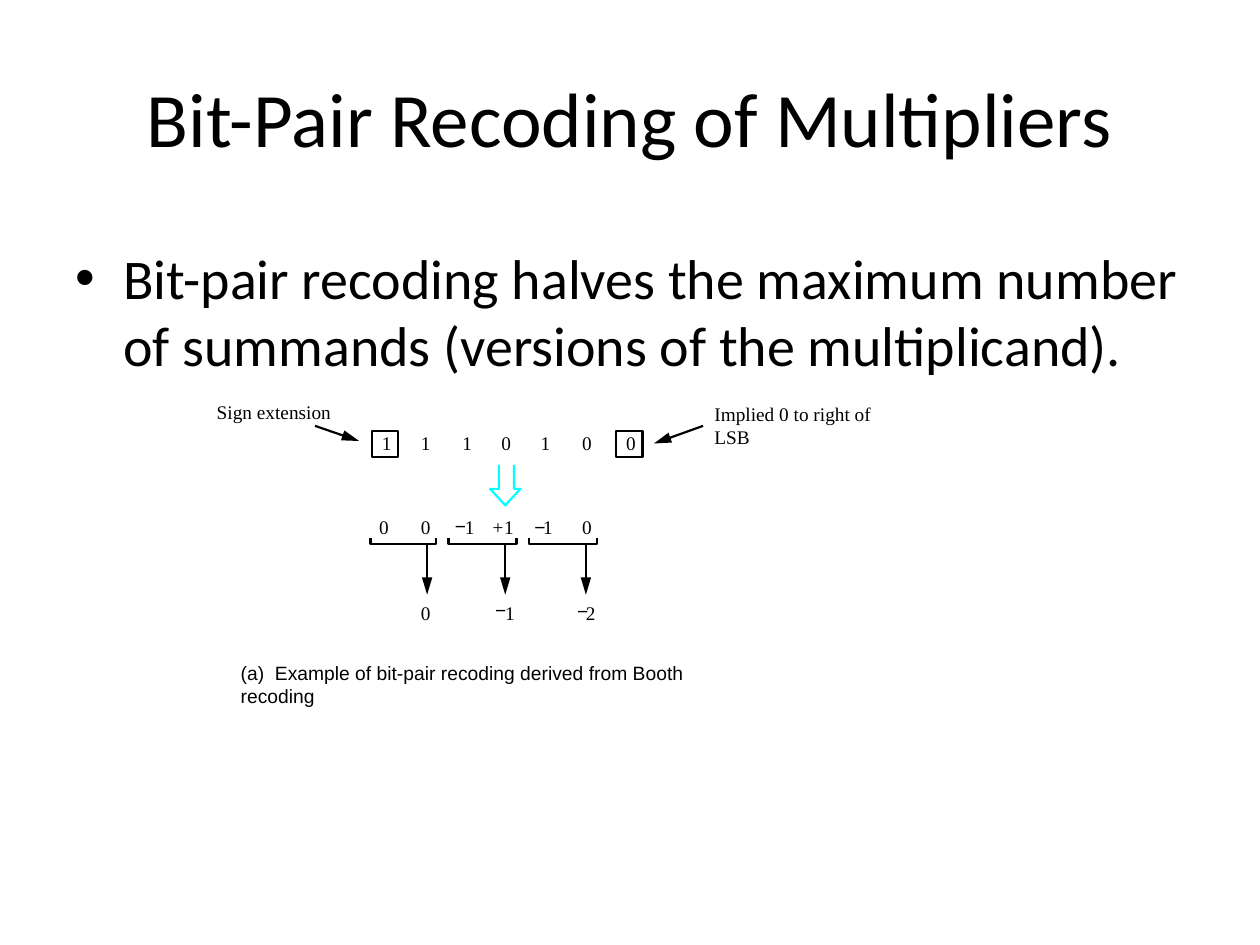
"""Build a slide on bit-pair recoding of multipliers."""
from dataclasses import dataclass

from lxml.etree import SubElement
from pptx import Presentation
from pptx.dml.color import RGBColor
from pptx.enum.shapes import MSO_CONNECTOR as Connector, MSO_SHAPE as Shape
from pptx.enum.text import MSO_ANCHOR as Anchor, MSO_AUTO_SIZE as AutoSize, PP_ALIGN as Align
from pptx.oxml.ns import qn
from pptx.util import Inches, Pt

COLORS = {"ink": "000000", "recode": "00FFFF"}
SERIF, SANS, HEADING = "Times New Roman", "Arial", "Calibri"
LINE_WIDTH = 1.25
LABEL_HEIGHT = 0.18
BIT_WIDTH = 0.08
BRACKET_TOP, BRACKET_BOTTOM = 4.27, 4.32


@dataclass(frozen=True)
class Label:
    text: str
    left: float
    top: float
    width: float = BIT_WIDTH
    font: str = SERIF


@dataclass(frozen=True)
class Arrow:
    start: tuple[float, float]
    tip: tuple[float, float]


@dataclass(frozen=True)
class Pair:
    left: float
    right: float
    arrow_x: float


LABELS = [
    Label("Sign extension", 1.72, 3.18, 0.91),
    Label("Implied 0 to right of LSB", 5.67, 3.19, 1.56),
    Label("(a)  Example of bit-pair recoding derived from Booth recoding", 1.91, 5.25, 4.15, SANS),
    Label("+", 3.91, 4.09, 0.09),
]
MINUS_SPOTS = [(3.61, 4.08), (4.24, 4.09), (3.93, 4.75), (4.58, 4.76)]
BIT_ROWS = [
    ("1110100", 3.42, [3.03, 3.34, 3.67, 3.98, 4.29, 4.62, 4.97]),
    ("001110", 4.09, [3.01, 3.34, 3.69, 4.00, 4.31, 4.62]),
    ("012", 4.77, [3.34, 4.01, 4.65]),
]
PAIRS = [Pair(2.94, 3.46, 3.39), Pair(3.56, 4.10, 4.01), Pair(4.20, 4.74, 4.65)]
POINTERS = [Arrow((2.50, 3.38), (2.85, 3.50)), Arrow((5.58, 3.38), (5.19, 3.52))]
FRAME_LEFTS = [2.95, 4.89]
RECODE_OUTLINE = [(4.08, 3.69), (4.08, 3.88), (4.13, 3.88), (4.01, 4.01),
                  (3.89, 3.88), (3.96, 3.88), (3.96, 3.69)]


def add_text(page, text: str, left: float, top: float, width: float, height: float, *,
             font: str, size: float, align=Align.LEFT, anchor=Anchor.TOP, tight: bool = False):
    """Add a text box and return its paragraph."""
    box = page.shapes.add_textbox(Inches(left), Inches(top), Inches(width), Inches(height))
    frame = box.text_frame
    frame.word_wrap = not tight
    frame.vertical_anchor = anchor
    if tight:
        frame.auto_size = AutoSize.SHAPE_TO_FIT_TEXT
        frame.margin_left = frame.margin_right = frame.margin_top = frame.margin_bottom = 0
    para = frame.paragraphs[0]
    para.alignment = align
    span = para.add_run()
    span.text = text
    span.font.name = font
    span.font.size = Pt(size)
    span.font.color.rgb = RGBColor.from_string(COLORS["ink"])
    return para


def add_bullet(para, indent: float) -> None:
    """Give a paragraph a bullet with a hanging indent."""
    properties = para._p.get_or_add_pPr()
    properties.set("marL", str(Inches(indent)))
    properties.set("indent", str(-Inches(indent)))
    SubElement(properties, qn("a:buFont"), typeface=SANS)
    SubElement(properties, qn("a:buChar"), char="•")


def add_label(page, label: Label) -> None:
    """Add a small diagram label."""
    add_text(page, label.text, label.left, label.top, label.width, LABEL_HEIGHT,
             font=label.font, size=11, tight=True)


def style_line(line, color: str = "ink") -> None:
    """Set the colour and width of a line."""
    line.color.rgb = RGBColor.from_string(COLORS[color])
    line.width = Pt(LINE_WIDTH)


def style_outline(shape, color: str = "ink") -> None:
    """Leave a shape unfilled with a plain outline."""
    shape.shadow.inherit = False
    shape.fill.background()
    style_line(shape.line, color)


def add_path(page, points: list[tuple[float, float]], color: str = "ink") -> None:
    """Draw an open path through points."""
    start, *rest = [(Inches(x), Inches(y)) for x, y in points]
    builder = page.shapes.build_freeform(*start)
    builder.add_line_segments(rest, close=False)
    style_outline(builder.convert_to_shape(), color)


def add_arrow(page, arrow: Arrow) -> None:
    """Draw a straight arrow with a slim head."""
    ends = [Inches(value) for value in (*arrow.start, *arrow.tip)]
    connector = page.shapes.add_connector(Connector.STRAIGHT, *ends)
    style_line(connector.line)
    SubElement(connector.line._get_or_add_ln(), qn("a:tailEnd"),
               type="triangle", w="med", len="lg")
    SubElement(connector._element.spPr, qn("a:effectLst"))


def add_pair(page, pair: Pair) -> None:
    """Draw the bracket under a bit pair and its arrow."""
    add_path(page, [(pair.right, BRACKET_TOP), (pair.right, BRACKET_BOTTOM),
                    (pair.left, BRACKET_BOTTOM), (pair.left, BRACKET_TOP)])
    add_arrow(page, Arrow((pair.arrow_x, BRACKET_BOTTOM), (pair.arrow_x, 4.72)))


def add_frame(page, left: float) -> None:
    """Draw the square around an added bit."""
    frame = page.shapes.add_shape(Shape.RECTANGLE, Inches(left), Inches(3.42),
                                  Inches(0.21), Inches(0.21))
    style_outline(frame)


def main() -> None:
    """Build and save the deck."""
    deck = Presentation()
    deck.slide_width, deck.slide_height = Inches(10), Inches(7.5)
    page = deck.slides.add_slide(deck.slide_layouts[6])
    add_text(page, "Bit-Pair Recoding of Multipliers", 0.5, 0.3, 9, 1.25,
             font=HEADING, size=44, align=Align.CENTER, anchor=Anchor.MIDDLE)
    body = add_text(page, "Bit-pair recoding halves the maximum number of summands "
                    "(versions of the multiplicand).", 0.5, 1.88, 9, 1.29,
                    font=HEADING, size=32)
    body.space_before = Pt(8)
    add_bullet(body, 0.38)
    for left in FRAME_LEFTS:
        add_frame(page, left)
    for pair in PAIRS:
        add_pair(page, pair)
    for pointer in POINTERS:
        add_arrow(page, pointer)
    add_path(page, RECODE_OUTLINE, "recode")
    bits = [Label(bit, left, top) for row, top, lefts in BIT_ROWS
            for bit, left in zip(row, lefts)]
    minuses = [Label("−", left, top, 0.05, SANS) for left, top in MINUS_SPOTS]
    for label in LABELS + bits + minuses:
        add_label(page, label)
    deck.save("out.pptx")


if __name__ == "__main__":
    main()
